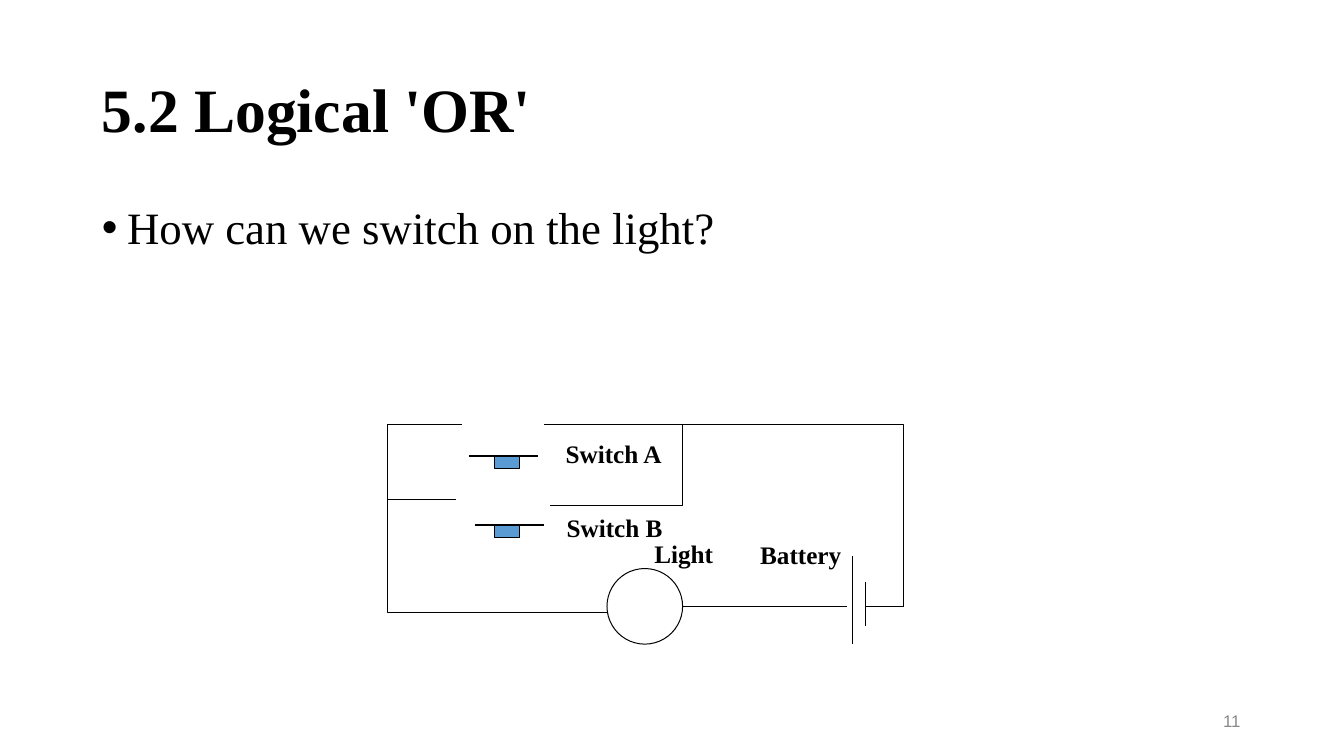
from lxml import etree
from pptx import Presentation
from pptx.dml.color import RGBColor
from pptx.enum.shapes import MSO_SHAPE
from pptx.enum.text import MSO_ANCHOR, MSO_AUTO_SIZE, PP_ALIGN
from pptx.oxml.ns import qn
from pptx.util import Inches, Pt

OVAL, RECTANGLE = MSO_SHAPE.OVAL, MSO_SHAPE.RECTANGLE
SERIF = "Times New Roman"
BLACK, BLUE, GRAY = "000000", "5B9BD4", "888888"
WIRE_WIDTH, BAR_WIDTH = 0.71, 0.37

presentation = Presentation()
presentation.slide_width, presentation.slide_height = Inches(13.33), Inches(7.5)
slide = presentation.slides.add_slide(presentation.slide_layouts[1])


def write(shape, text, box, size, font=SERIF, color=BLACK, bold=False, top=0.01,
          spacing=None, indents=(0.01,), bullet=False):
    """Place a text shape and write one paragraph per line of text."""
    shape.left, shape.top, shape.width, shape.height = map(Inches, box)
    frame = shape.text_frame
    frame.text = text
    frame.word_wrap = True
    frame.auto_size = MSO_AUTO_SIZE.NONE
    frame.vertical_anchor = MSO_ANCHOR.TOP
    frame.margin_left = frame.margin_right = frame.margin_bottom = 0
    frame.margin_top = Inches(top)
    for paragraph, indent in zip(frame.paragraphs, indents):
        properties = paragraph._p.get_or_add_pPr()
        properties.set("marL", str(Inches(indent)))
        properties.set("indent", str(Inches(-0.25 if bullet else 0)))
        if bullet:
            etree.SubElement(properties, qn("a:buFont")).set("typeface", "Arial")
            etree.SubElement(properties, qn("a:buChar")).set("char", "•")
        paragraph.alignment = PP_ALIGN.LEFT
        paragraph.space_before = Pt(0)
        if spacing:
            paragraph.line_spacing = Pt(spacing)
        paragraph.font.name, paragraph.font.size = font, Pt(size)
        paragraph.font.bold = bold
        paragraph.font.color.rgb = RGBColor.from_string(color)


def outline(shape, width=WIRE_WIDTH, fill=None):
    """Give a shape a black line, and a fill if there is one."""
    shape.shadow.inherit = False
    shape.line.color.rgb = RGBColor.from_string(BLACK)
    shape.line.width = Pt(width)
    if fill:
        shape.fill.solid()
        shape.fill.fore_color.rgb = RGBColor.from_string(fill)
    else:
        shape.fill.background()


# Title and question
write(slide.shapes.title, "5.2 Logical 'OR'", (1, 0.69, 5.5, 1.27), 44, bold=True)
write(slide.placeholders[1], "How can we switch on the light?",
      (1, 1.97, 6.6, 0.55), 32, indents=(0.26,), bullet=True)

# Circuit: each drawing is a list of wires, each wire a list of points
left, right, branch = 3.84, 8.96, 6.77
top, middle, bottom = 4.21, 6.02, 6.08
battery_left, battery_right = 8.46, 8.58
drawings = [
    ([[(4.58, top), (left, top), (left, bottom), (6.02, bottom)],
      [(branch, middle), (8.4, middle)]], WIRE_WIDTH),
    ([[(5.4, top), (6.46, top)]], WIRE_WIDTH),
    ([[(6.21, top), (right, top), (right, middle)],
      [(battery_right, 5.77), (battery_right, 6.21)]], WIRE_WIDTH),
    ([[(battery_left, 5.52), (battery_left, 6.39)]], WIRE_WIDTH),
    ([[(4.52, 4.96), (left, 4.96)],
      [(battery_right, middle), (right, middle)],
      [(5.46, 5.02), (branch, 5.02), (branch, top)]], WIRE_WIDTH),
]

# Light bulb and switches, each switch a double bar over a button
parts = [(OVAL, 6.02, 5.64, 0.75, 0.75, None)]
for bar_left, bar_top in [(4.65, 4.52), (4.71, 5.2)]:
    bars = [[(bar_left, y), (bar_left + 0.69, y)] for y in (bar_top, bar_top + 0.01)]
    drawings.append((bars, BAR_WIDTH))
    parts.append((RECTANGLE, 4.9, bar_top + 0.01, 0.25, 0.12, BLUE))

for wires, width in drawings:
    builder = None
    for wire in wires:
        start, *others = [(Inches(x), Inches(y)) for x, y in wire]
        if builder is None:
            builder = slide.shapes.build_freeform(*start)
        else:
            builder.move_to(*start)
        builder.add_line_segments(others, close=False)
    outline(builder.convert_to_shape(), width)
for kind, x, y, width, height, fill in parts:
    part = slide.shapes.add_shape(kind, *map(Inches, (x, y, width, height)))
    outline(part, fill=fill)

# Labels and slide number
label = {"size": 18, "bold": True, "top": 0.02}
number = {"size": 12, "font": "Arial", "color": GRAY, "top": 0,
          "spacing": 14.3, "indents": (0.04,)}
for text, box, style in [
    ("Battery", (7.53, 5.33, 0.83, 0.31), label),
    ("Switch A", (5.6, 4.33, 0.98, 0.31), label),
    ("Switch B\nLight", (5.61, 5.11, 1.47, 0.53),
     {**label, "top": 0.01, "spacing": 18.7, "indents": (0.01, 0.88)}),
    ("11", (12.09, 7.05, 0.27, 0.2), number),
]:
    write(slide.shapes.add_textbox(0, 0, 0, 0), text, box, **style)

presentation.save("out.pptx")
